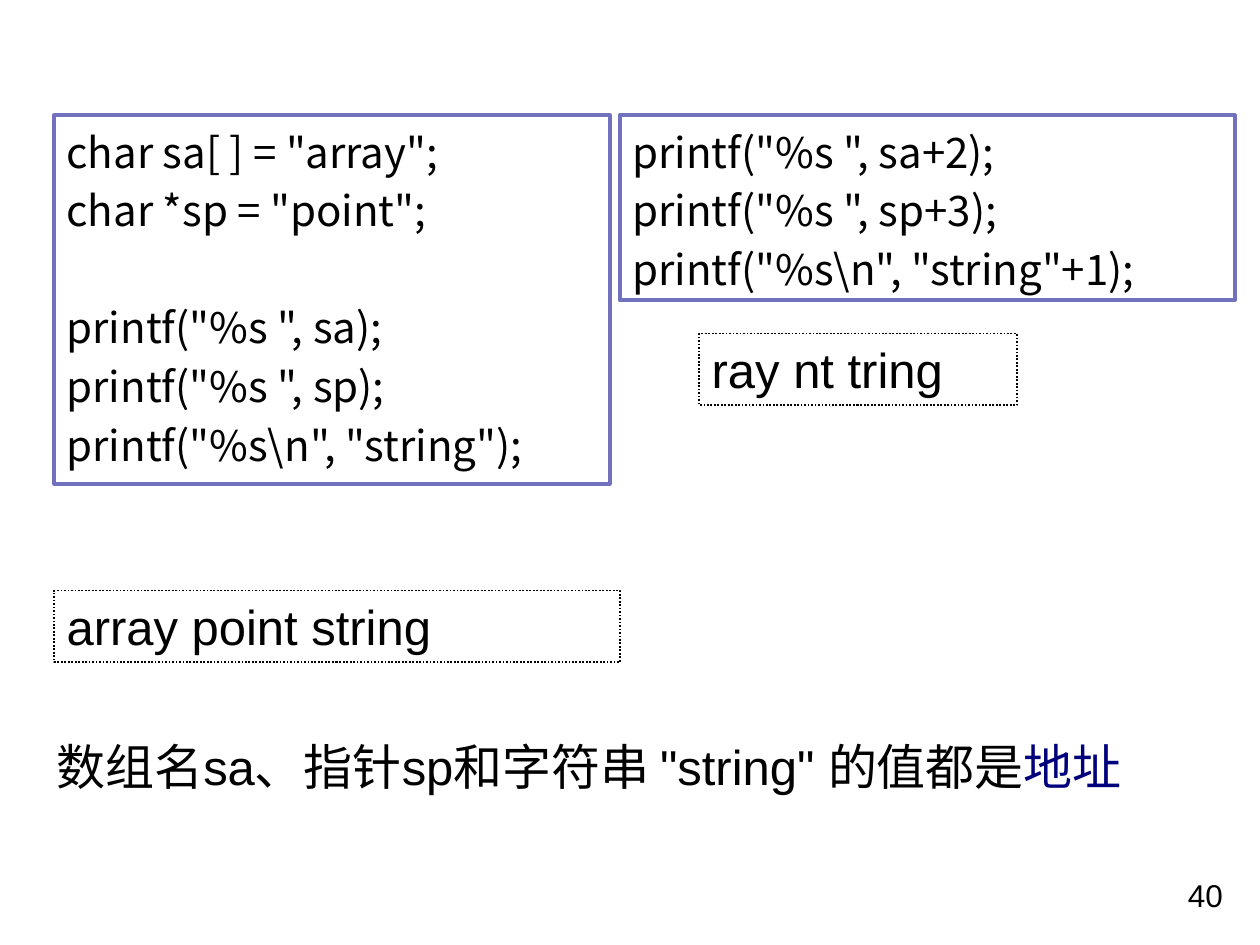
from lxml.etree import SubElement
from pptx import Presentation
from pptx.dml.color import RGBColor
from pptx.enum.dml import MSO_LINE_DASH_STYLE as Dash
from pptx.enum.shapes import MSO_SHAPE as Shape
from pptx.enum.text import MSO_ANCHOR as Anchor, PP_ALIGN as Align
from pptx.oxml.ns import qn
from pptx.util import Inches, Pt

BLACK = RGBColor(0x00, 0x00, 0x00)
FRAME = RGBColor(0x71, 0x71, 0xBD)
NAVY = RGBColor(0x00, 0x00, 0x7D)
SANS, CJK = "Arial", "Noto Sans CJK SC"
WIDTH, HEIGHT = Inches(10), Inches(7.5)
CODE_LINE = Pt(33.5)

# Left edges and tops shared by the boxes, as shares of the slide
LEFT, RIGHT, TOP = 0.043, 0.492, 0.122
OUTPUT_HEIGHT = 0.076

DECLARE = ['char sa[ ] = "array";', 'char *sp = "point";']
PRINT_ALL = ['printf("%s ", sa);', 'printf("%s ", sp);',
             'printf("%s\\n", "string");']
PRINT_OFFSET = ['printf("%s ", sa+2);', 'printf("%s ", sp+3);',
                'printf("%s\\n", "string"+1);']


def place(x, y, w, h):
    """Turn shares of the slide into lengths."""
    return int(x * WIDTH), int(y * HEIGHT), int(w * WIDTH), int(h * HEIGHT)


def style(r, size, font=SANS, color=BLACK):
    r.font.size, r.font.name = Pt(size), font
    r.font.color.rgb = color
    SubElement(r.font._element, qn("a:ea")).set("typeface", CJK)


def add_frame(s, box, color, width, dash=None):
    """Unfilled rectangle; returns its text frame."""
    sp = s.shapes.add_shape(Shape.RECTANGLE, *place(*box))
    sp.shadow.inherit = False
    sp.fill.background()
    sp.line.color.rgb, sp.line.width = color, Pt(width)
    if dash:
        sp.line.dash_style = dash
    tf = sp.text_frame
    tf.word_wrap, tf.vertical_anchor = True, Anchor.TOP
    return tf


def add_code(s, box, *groups):
    """Code frame; one empty line separates the groups."""
    tf = add_frame(s, box, FRAME, 2.25)
    tf.margin_top = Inches(0.02)
    tf.text = "\n".join(line for group in groups for line in group)
    for p in tf.paragraphs:
        p.alignment, p.line_spacing = Align.LEFT, CODE_LINE
        style(p.runs[0], 24, CJK)
    start = 0
    for group in groups[:-1]:
        start += len(group)
        tf.paragraphs[start].space_before = CODE_LINE


def add_output(s, box, text):
    """Dotted frame with what the program prints."""
    tf = add_frame(s, box, BLACK, 1, Dash.ROUND_DOT)
    tf.text = text
    p = tf.paragraphs[0]
    p.alignment = Align.JUSTIFY
    style(p.runs[0], 28)


def add_text(s, box, size, *parts):
    """Plain text line made of (text, colour) parts."""
    tf = s.shapes.add_textbox(*place(*box)).text_frame
    tf.word_wrap = True
    for text, color in parts:
        r = tf.paragraphs[0].add_run()
        r.text = text
        style(r, size, color=color)


def main():
    prs = Presentation()
    prs.slide_width, prs.slide_height = WIDTH, HEIGHT
    s = prs.slides.add_slide(prs.slide_layouts[6])

    # Whole strings and their output
    add_code(s, (LEFT, TOP, 0.441, 0.39), DECLARE, PRINT_ALL)
    add_output(s, (LEFT, 0.625, 0.449, OUTPUT_HEIGHT), "array point string")

    # Strings from an offset and their output
    add_code(s, (RIGHT, TOP, 0.488, 0.196), PRINT_OFFSET)
    add_output(s, (0.555, 0.353, 0.252, OUTPUT_HEIGHT), "ray nt tring")

    # Conclusion and page number
    add_text(s, (0.035, 0.773, 0.945, 0.147), 28,
             ('数组名sa、指针sp和字符串 "string" 的值都是', BLACK), ("地址", NAVY))
    add_text(s, (0.933, 0.92, 0.055, 0.053), 18, ("40", BLACK))

    prs.save("out.pptx")


if __name__ == "__main__":
    main()
